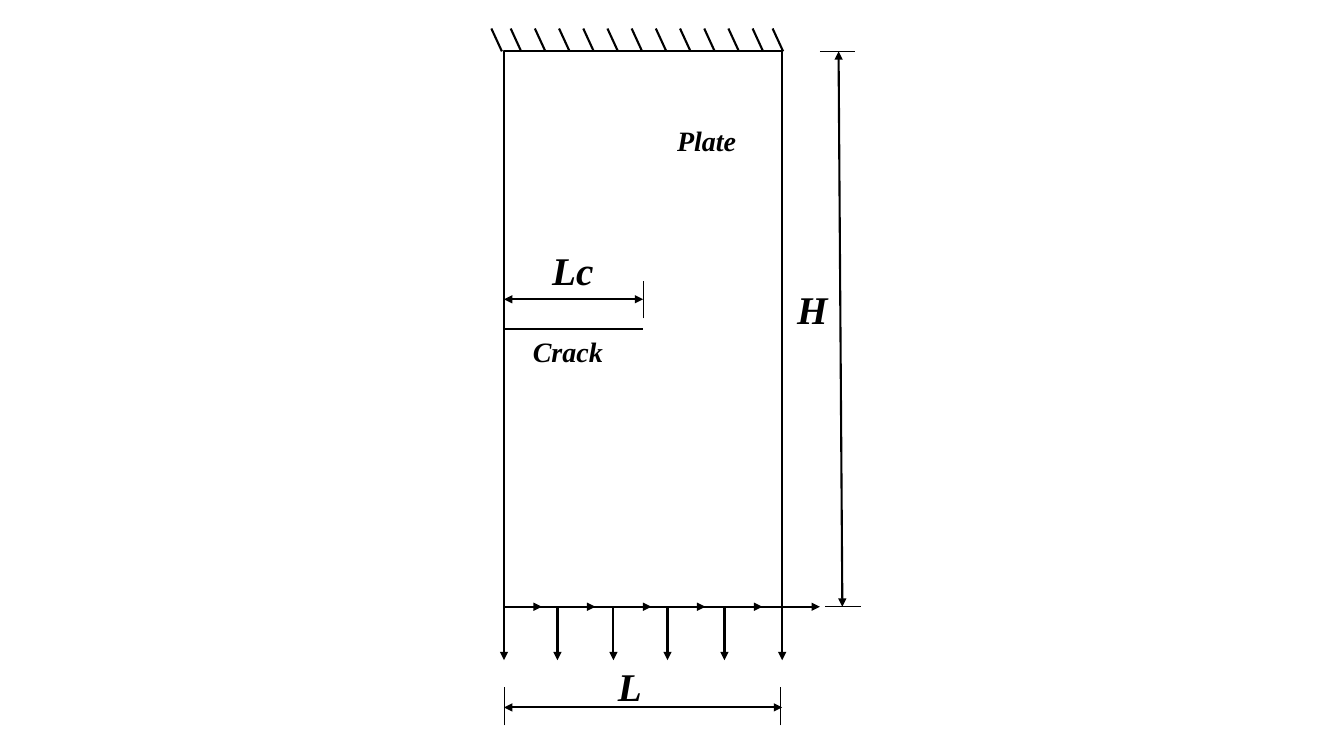
from dataclasses import dataclass

from lxml.etree import SubElement as Sub
from pptx import Presentation
from pptx.dml.color import RGBColor as Rgb
from pptx.enum.shapes import MSO_CONNECTOR as Conn, MSO_SHAPE as Shape
from pptx.enum.text import MSO_AUTO_SIZE as Fit
from pptx.oxml.ns import qn
from pptx.util import Pt

INK = {"black": "000000"}
FONT = "Times New Roman"
THICK, THIN = 1.5, 0.5

# Plate edges and crack tip
LEFT, TOP, WIDE, HIGH = 360, 36.7, 198.7, 396.7
RIGHT, BASE = LEFT + WIDE, TOP + HIGH
TIP = 459.4


@dataclass
class Line:
    x1: float
    y1: float
    x2: float
    y2: float
    width: float = THICK
    ends: tuple[str, ...] = ()


@dataclass
class Label:
    text: str
    x: float
    y: float
    wide: float
    high: float
    size: float


def draw_line(slide, line: Line) -> None:
    con = slide.shapes.add_connector(
        Conn.STRAIGHT, Pt(line.x1), Pt(line.y1), Pt(line.x2), Pt(line.y2))
    con.line.color.rgb = Rgb.from_string(INK["black"])
    con.line.width = Pt(line.width)
    props = con.element.spPr
    for end in line.ends:
        Sub(props.find(qn("a:ln")), qn(f"a:{end}"), type="triangle")
    Sub(props, qn("a:effectLst"))


def draw_label(slide, label: Label) -> None:
    box = slide.shapes.add_textbox(
        Pt(label.x), Pt(label.y), Pt(label.wide), Pt(label.high))
    frame = box.text_frame
    frame.word_wrap = True
    frame.auto_size = Fit.SHAPE_TO_FIT_TEXT
    run = frame.paragraphs[0].add_run()
    run.text = label.text
    font = run.font
    font.name, font.size = FONT, Pt(label.size)
    font.bold = font.italic = True
    font.color.rgb = Rgb.from_string(INK["black"])


def draw_plate(slide) -> None:
    plate = slide.shapes.add_shape(
        Shape.RECTANGLE, Pt(LEFT), Pt(TOP), Pt(WIDE), Pt(HIGH))
    plate.shadow.inherit = False
    plate.fill.background()
    plate.line.color.rgb = Rgb.from_string(INK["black"])
    plate.line.width = Pt(THICK)


def main() -> None:
    deck = Presentation()
    deck.slide_width, deck.slide_height = Pt(960), Pt(540)
    slide = deck.slides.add_slide(deck.slide_layouts[6])
    draw_plate(slide)

    one, both = ("tailEnd",), ("headEnd", "tailEnd")

    # Crack and its length
    lines = [
        Line(LEFT, 234.9, TIP, 234.9),
        Line(TIP, 227.5, TIP, 200.5, THIN),
        Line(LEFT, 213.8, TIP, 213.8, ends=both),
    ]

    # Loads along the base: one pull and one shear arrow at each point
    for x in (LEFT, 398.2, 438.2, 476.8, 517.5, RIGHT):
        lines += [Line(x, BASE, x, BASE + 38.2, ends=one),
                  Line(x, BASE, x + 27, BASE, ends=one)]

    # Fixed support hatching
    inner = [372.3 + 17.28 * i for i in range(11)]
    lines += [Line(x, TOP, x - 7.5, TOP - 16.3)
              for x in (358.5, *inner, 559.4)]

    # Height and width dimensions
    lines += [Line(x, y, x + 25.2, y, THIN)
              for x, y in ((585.6, TOP), (589.6, BASE))]
    lines += [Line(x, 518.2, x, 491, THIN) for x in (LEFT, 557.5)]
    lines += [
        Line(599, TOP, 601.7, BASE, ends=both),
        Line(LEFT, 505.3, RIGHT, 505.3, ends=both),
    ]
    for line in lines:
        draw_line(slide, line)

    # Labels
    for label in (
        Label("Crack", 373.5, 235.5, 79, 31.5, 20),
        Label("Lc", 387.3, 172.3, 59, 41.2, 28),
        Label("Plate", 476.5, 84.8, 79, 31.5, 20),
        Label("H", 562.3, 200.4, 41, 41.2, 28),
        Label("L", 434.2, 469.7, 59, 41.2, 28),
    ):
        draw_label(slide, label)

    deck.save("out.pptx")


if __name__ == "__main__":
    main()
